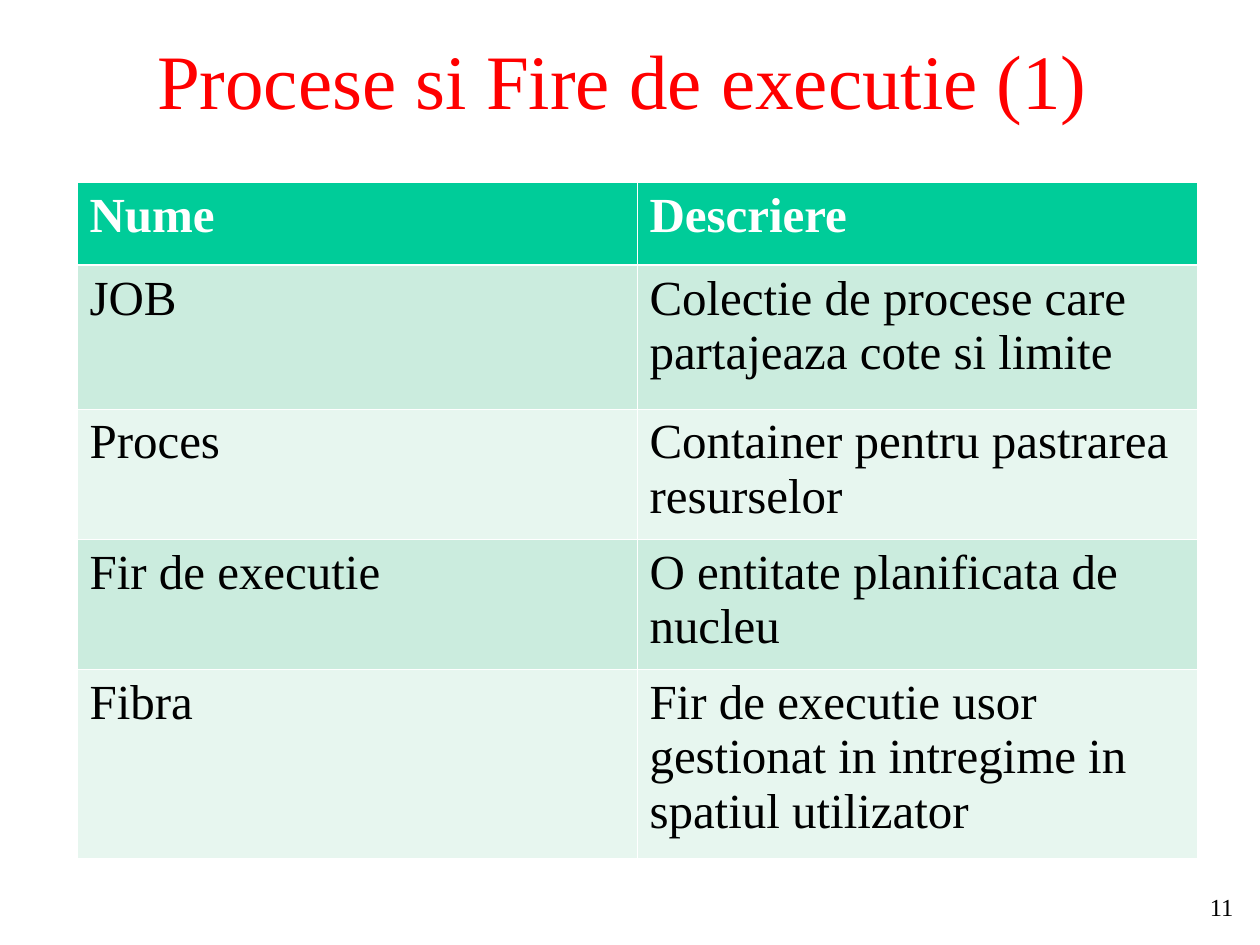
from lxml.etree import SubElement
from pptx import Presentation
from pptx.dml.color import RGBColor
from pptx.enum.text import MSO_ANCHOR, PP_ALIGN
from pptx.oxml.ns import qn
from pptx.util import Emu, Pt

PX_PER_INCH = 126
FONT = "Times New Roman"
RED = RGBColor(0xFF, 0x00, 0x00)
BLACK = RGBColor(0x00, 0x00, 0x00)
WHITE = RGBColor(0xFF, 0xFF, 0xFF)
GREEN = RGBColor(0x00, 0xCC, 0x99)
BANDS = (RGBColor(0xCB, 0xEC, 0xDE), RGBColor(0xE7, 0xF6, 0xEF))
THIN, THICK = 0.45, 1.47

ROWS = [
    ("Nume", "Descriere"),
    ("JOB", "Colectie de procese care partajeaza cote si limite"),
    ("Proces", "Container pentru pastrarea resurselor"),
    ("Fir de executie", "O entitate planificata de nucleu"),
    ("Fibra", "Fir de executie usor gestionat in intregime in spatiul utilizator"),
]
ROW_HEIGHTS = (83, 144, 130, 130, 189)
COLUMN_WIDTH = 560


def px(length):
    return Emu(round(length * 914400 / PX_PER_INCH))


def write(frame, text, color, align=PP_ALIGN.LEFT, **font_values):
    para = frame.paragraphs[0]
    para.alignment = align
    span = para.add_run()
    span.text = text
    for name, value in {"name": FONT, **font_values}.items():
        setattr(span.font, name, value)
    span.font.color.rgb = color


def add_title(page, text):
    title = page.shapes.title
    place = {"left": 87, "top": 0, "width": 1071, "height": 158}
    for name, value in place.items():
        setattr(title, name, px(value))
    title.text_frame.vertical_anchor = MSO_ANCHOR.MIDDLE
    write(title.text_frame, text, RED, PP_ALIGN.CENTER, size=Pt(44))


def set_borders(cell, widths):
    """Draw white cell edges; widths maps an edge tag to points."""
    properties = cell._tc.get_or_add_tcPr()
    for index, (edge, width) in enumerate(widths.items()):
        line = SubElement(properties, qn(f"a:{edge}"), w=str(Pt(width)))
        fill = SubElement(line, qn("a:solidFill"))
        SubElement(fill, qn("a:srgbClr"), val=str(WHITE))
        properties.insert(index, line)


def format_cell(cell, text, row_index):
    header = row_index == 0
    cell.fill.solid()
    cell.fill.fore_color.rgb = GREEN if header else BANDS[(row_index - 1) % 2]
    set_borders(cell, {
        "lnL": THIN,
        "lnR": THIN,
        "lnT": THICK if row_index == 1 else THIN,
        "lnB": THICK if header else THIN,
    })
    write(cell.text_frame, text, WHITE if header else BLACK,
          size=Pt(28), bold=header)


def add_definitions(page):
    columns = len(ROWS[0])
    frame = page.shapes.add_table(
        len(ROWS), columns, px(77), px(182),
        px(COLUMN_WIDTH * columns), px(sum(ROW_HEIGHTS)))
    table = frame.table
    for column in table.columns:
        column.width = px(COLUMN_WIDTH)
    for row_index, (texts, height) in enumerate(zip(ROWS, ROW_HEIGHTS)):
        table.rows[row_index].height = px(height)
        for cell, text in zip(table.rows[row_index].cells, texts):
            format_cell(cell, text, row_index)


def add_page_number(page, number):
    box = page.shapes.add_textbox(px(1193), px(886), px(53), px(45))
    box.text_frame.word_wrap = True
    write(box.text_frame, number, BLACK, PP_ALIGN.RIGHT, size=Pt(14))


def main():
    deck = Presentation()
    deck.slide_width, deck.slide_height = px(1260), px(945)
    page = deck.slides.add_slide(deck.slide_layouts[5])
    add_page_number(page, "11")
    add_title(page, "Procese si Fire de executie (1)")
    add_definitions(page)
    deck.save("out.pptx")


if __name__ == "__main__":
    main()
